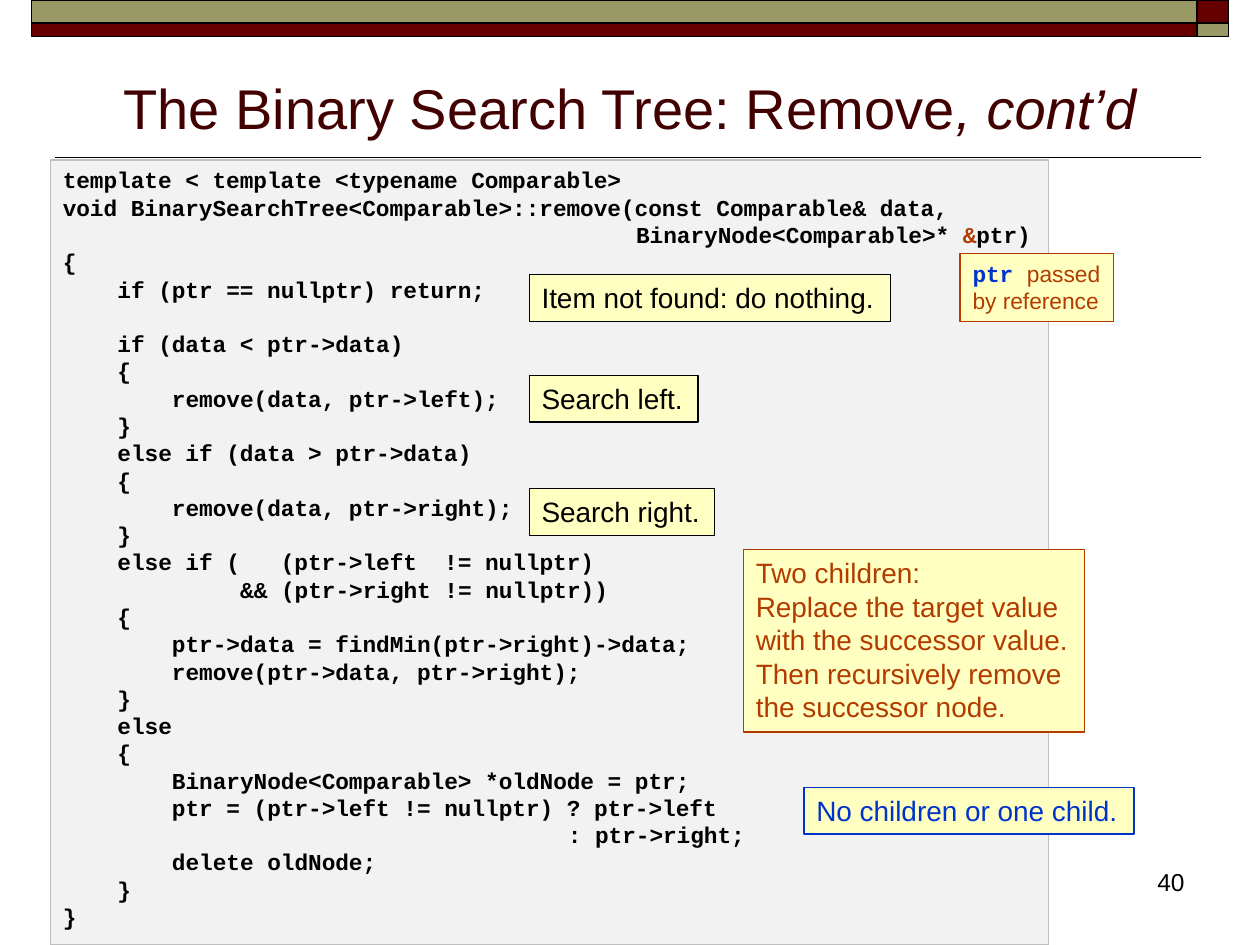
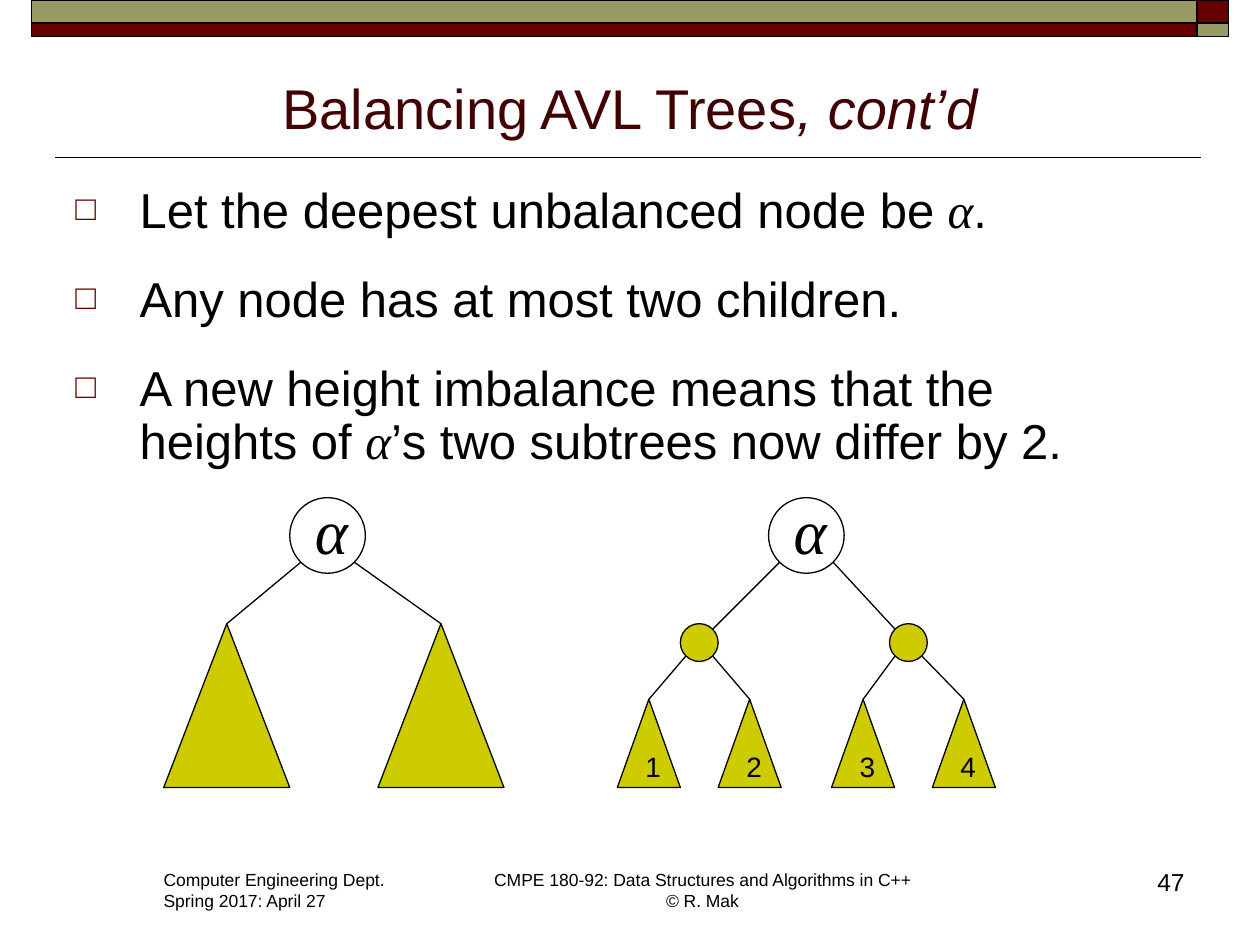
from math import sqrt

from lxml import etree
from pptx import Presentation
from pptx.dml.color import RGBColor
from pptx.enum import shapes, text
from pptx.oxml import ns
from pptx.util import Inches, Pt

# ---------- content ----------
COLORS = dict(black="000000", white="FFFFFF", maroon="660000", khaki="999966",
              title="420000", note="FFFFC2", rust="B23C00", blue="0033CC",
              code="F2F2F2", code_line="BFBFBF", node="CCCC00")
SANS, MONO, SERIF = "Arial", "Courier New", "Times New Roman"
ALPHA = ("α", dict(name=SERIF, italic=True))

TITLES = ["The Binary Search Tree: Remove", "Balancing AVL Trees"]
TITLE_TAIL = ", cont’d"
NUMBERS = ["40", "47"]

BANDS = [  # left, top, width, height, colour
    (9.5, 0, 0.25, 0.18, "maroon"), (0.25, 0, 9.25, 0.18, "khaki"),
    (0.25, 0.18, 9.25, 0.11, "maroon"), (9.5, 0.18, 0.25, 0.11, "khaki")]

CODE = """\
template < template <typename Comparable>
void BinarySearchTree<Comparable>::remove(const Comparable& data,
                                          BinaryNode<Comparable>* &ptr)
{
    if (ptr == nullptr) return;

    if (data < ptr->data)
    {
        remove(data, ptr->left);
    }
    else if (data > ptr->data)
    {
        remove(data, ptr->right);
    }
    else if (   (ptr->left  != nullptr)
             && (ptr->right != nullptr))
    {
        ptr->data = findMin(ptr->right)->data;
        remove(ptr->data, ptr->right);
    }
    else
    {
        BinaryNode<Comparable> *oldNode = ptr;
        ptr = (ptr->left != nullptr) ? ptr->left
                                     : ptr->right;
        delete oldNode;
    }
}"""

CALLOUTS = [  # box, text colour, line colour, size, paragraphs
    ((5.9, 4.36, 2.71, 1.45), "rust", "rust", 16,
     ["Two children:", "Replace the target value", "with the successor value.",
      "Then recursively remove", "the successor node."]),
    ((6.38, 6.25, 2.62, 0.37), "blue", "blue", 16, ["No children or one child."]),
    ((4.2, 2.18, 2.87, 0.37), "black", "black", 16, ["Item not found: do nothing."]),
    ((4.2, 2.98, 1.34, 0.37), "black", "black", 16, ["Search left."]),
    ((4.2, 3.88, 1.47, 0.37), "black", "black", 16, ["Search right."]),
    ((7.62, 2.01, 1.22, 0.54), "rust", "rust", 13,
     [[("ptr ", dict(name=MONO, bold=True, color="blue")), "passed"], "by reference"])]

BULLETS = [
    ["Let the deepest unbalanced node be ", ALPHA, "."],
    ["Any node has at most two children."],
    ["A new height imbalance means that the \nheights of ", ALPHA,
     "’s two subtrees now differ by 2."]]

FOOTERS = [  # box, alignment, paragraphs
    ((1.2, 6.85, 1.98, 0.44), "LEFT",
     ["Computer Engineering Dept.", "Spring 2017: April 27"]),
    ((3.8, 6.85, 3.55, 0.44), "CENTER",
     ["CMPE 180-92: Data Structures and Algorithms in C++\n© R. Mak"])]

ROOT_Y, ROOT_R, NODE_Y, NODE_R = 4.25, 0.3, 5.1, 0.15
LEFT_TREE = (2.6, [1.8, 3.5])  # root x, apex of each subtree
RIGHT_TREE = (6.4, [(5.55, [(5.15, "1"), (5.95, "2")]),  # root x, nodes and subtrees
                    (7.21, [(6.85, "3"), (7.65, "4")])])


# ---------- helpers ----------
def rgb(name):
    return RGBColor.from_string(COLORS[name])


def add_run(p, words, size, color="black", **fmt):
    values = dict(name=SANS, size=Pt(size), bold=False, italic=False) | fmt
    for i, line in enumerate(words.split("\n")):
        if i:
            p.add_line_break()
        r = p.add_run()
        r.text = line
        for key, value in values.items():
            setattr(r.font, key, value)
        r.font.color.rgb = rgb(color)


def write(sp, paragraphs, size, color="black", align="LEFT", wrap=False,
          spacing=1.2, **fmt):
    """Fill a shape with paragraphs; each is a string or a list of runs."""
    tf = sp.text_frame
    tf.word_wrap = wrap
    tf.vertical_anchor = text.MSO_ANCHOR.TOP
    for i, runs in enumerate(paragraphs):
        p = tf.paragraphs[0] if i == 0 else tf.add_paragraph()
        p.alignment = getattr(text.PP_ALIGN, align)
        p.line_spacing = Pt(size * spacing)
        for run in [runs] if isinstance(runs, str) else runs:
            words, extra = (run, {}) if isinstance(run, str) else run
            add_run(p, words, size, **(dict(color=color) | fmt | extra))
    return tf


def add_text(s, box, paragraphs, size, **fmt):
    return write(s.shapes.add_textbox(*map(Inches, box)), paragraphs, size, **fmt)


def add_shape(s, kind, box, fill=None, line="black", weight=0.75):
    sp = s.shapes.add_shape(getattr(shapes.MSO_SHAPE, kind), *map(Inches, box))
    sp.shadow.inherit = False
    if fill:
        sp.fill.solid()
        sp.fill.fore_color.rgb = rgb(fill)
    else:
        sp.fill.background()
    sp.line.color.rgb = rgb(line)
    sp.line.width = Pt(weight)
    return sp


def add_line(s, start, end, weight=0.75):
    c = s.shapes.add_connector(shapes.MSO_CONNECTOR.STRAIGHT,
                               *map(Inches, (*start, *end)))
    c.line.color.rgb = rgb("black")
    c.line.width = Pt(weight)
    etree.SubElement(c._element.spPr, ns.qn("a:effectLst"))


def indent(p, left, first=0):
    pPr = p._p.get_or_add_pPr()
    pPr.set("marL", str(Inches(left)))
    pPr.set("indent", str(Inches(first)))
    return pPr


def add_square_bullet(p):
    pPr = indent(p, 0.51, -0.51)
    clr = etree.SubElement(pPr, ns.qn("a:buClr"))
    etree.SubElement(clr, ns.qn("a:srgbClr"), val=COLORS["maroon"])
    etree.SubElement(pPr, ns.qn("a:buSzPct"), val="70000")
    etree.SubElement(pPr, ns.qn("a:buFont"), typeface=SANS)
    etree.SubElement(pPr, ns.qn("a:buChar"), char="□")


def start_slide(prs, title, number):
    """Add a slide with the shared bands, rule, title and number."""
    s = prs.slides.add_slide(prs.slide_layouts[5])
    add_line(s, (9.53, 1.25), (0.44, 1.25), 1)
    for *box, color in BANDS:
        add_shape(s, "RECTANGLE", box, color, weight=1)
    sp = s.shapes.title
    for key, value in zip(("left", "top", "width", "height"), (0.5, 0.45, 9, 0.72)):
        setattr(sp, key, Inches(value))
    tf = sp.text_frame
    tf.auto_size = text.MSO_AUTO_SIZE.NONE
    tf.vertical_anchor = text.MSO_ANCHOR.BOTTOM
    p = tf.paragraphs[0]
    p.alignment = text.PP_ALIGN.CENTER
    add_run(p, title, 32, "title")
    add_run(p, TITLE_TAIL, 32, "title", italic=True)
    add_text(s, (7.42, 6.83, 2.08, 0.5), [number], 14, align="RIGHT", wrap=True)
    return s


# ---------- code listing ----------
def add_code(s, size=13):
    sp = add_shape(s, "RECTANGLE", (0.4, 1.27, 7.92, 6.23), "code", "code_line")
    lines = CODE.split("\n")
    paragraphs = []
    for line in filter(None, lines):
        before, ref, after = line.strip().partition("&ptr")
        paragraphs.append([before, ("&", dict(color="rust")), "ptr" + after]
                          if ref else before)
    tf = write(sp, paragraphs, size, wrap=True, name=MONO, bold=True)
    char_width = 0.6 * size / 72
    shown = iter(tf.paragraphs)
    gap = 0
    for line in lines:
        if not line:
            gap += 1.2 * size
            continue
        p = next(shown)
        indent(p, char_width * (len(line) - len(line.lstrip())))
        p.space_before = Pt(gap)
        gap = 0


# ---------- trees ----------
def add_circle(s, x, y, radius, fill=None):
    add_shape(s, "OVAL", (x - radius, y - radius, 2 * radius, 2 * radius), fill)


def add_root(s, x):
    add_circle(s, x, ROOT_Y, ROOT_R)
    add_text(s, (x - 0.2, 3.85, 0.5, 0.71), [[ALPHA]], 36)


def add_subtree(s, apex, top, width, label=None):
    sp = add_shape(s, "ISOSCELES_TRIANGLE",
                   (apex - width / 2, top, width, 6.25 - top), "node")
    if label:
        write(sp, [label], 16, wrap=True)


def add_edge(s, x, y, radius, child_x, child_y, child_radius=0):
    """Join a circle at 45 degrees to an apex or to a smaller circle."""
    side = 1 if child_x > x else -1
    out, into = radius / sqrt(2), child_radius / sqrt(2)
    add_line(s, (x + side * out, y + out), (child_x - side * into, child_y - into))


def add_trees(s):
    root, apexes = LEFT_TREE
    add_root(s, root)
    for apex in apexes:
        add_subtree(s, apex, 4.95, 1)
        add_edge(s, root, ROOT_Y, ROOT_R, apex, 4.95)
    root, nodes = RIGHT_TREE
    add_root(s, root)
    for x, leaves in nodes:
        add_circle(s, x, NODE_Y, NODE_R, "node")
        add_edge(s, root, ROOT_Y, ROOT_R, x, NODE_Y, NODE_R)
        for apex, label in leaves:
            add_subtree(s, apex, 5.55, 0.5, label)
            add_edge(s, x, NODE_Y, NODE_R, apex, 5.55)


def main():
    prs = Presentation()
    prs.slide_width, prs.slide_height = Inches(10), Inches(7.5)
    remove, balance = [start_slide(prs, *pair) for pair in zip(TITLES, NUMBERS)]

    # Remove: code with callouts
    add_code(remove)
    for box, color, line, size, paragraphs in CALLOUTS:
        sp = add_shape(remove, "RECTANGLE", box, "note", line)
        write(sp, paragraphs, size, color)

    # Balancing: bullets, trees and footers
    tf = add_text(balance, (0.5, 1.42, 9, 2.43), BULLETS, 28, wrap=True, spacing=1.08)
    for i, p in enumerate(tf.paragraphs):
        p.space_before = Pt(20.6 if i else 0)
        add_square_bullet(p)
    add_trees(balance)
    for box, align, paragraphs in FOOTERS:
        add_text(balance, box, paragraphs, 10, align=align)

    prs.save("out.pptx")


if __name__ == "__main__":
    main()
